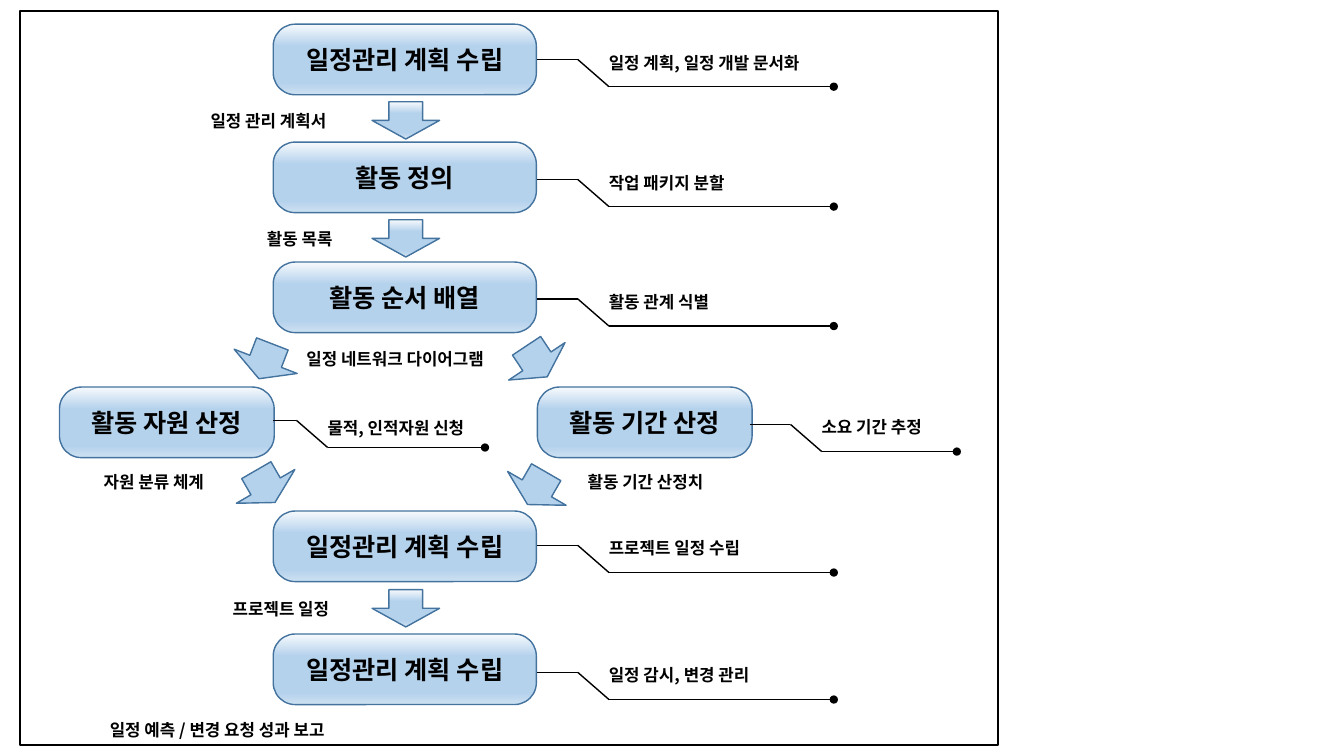
from dataclasses import dataclass

from lxml import etree
from pptx import Presentation
from pptx import util as u
from pptx.dml.color import RGBColor
from pptx.enum import shapes, text
from pptx.oxml.ns import qn


@dataclass(frozen=True)
class Theme:
    font: str = "Noto Sans CJK KR"
    ink: str = "000000"
    paper: str = "FFFFFF"
    edge: str = "43739E"
    gradient: tuple = ((0, "F7FAFD"), (31, "B5D2EC"), (83, "B5D2EC"), (100, "CEE1F2"))
    step_size: int = 18
    label_size: int = 12
    line_width: int = 1


def write_text(frame, content, *, font, size, color, bold=True,
               align=text.PP_ALIGN.LEFT, anchor=text.MSO_ANCHOR.TOP, wrap=True):
    frame.word_wrap = wrap
    frame.vertical_anchor = anchor
    paragraph = frame.paragraphs[0]
    paragraph.alignment = align
    run = paragraph.add_run()
    run.text = content
    run.font.name = font
    run.font.size = u.Pt(size)
    run.font.bold = bold
    run.font.color.rgb = RGBColor.from_string(color)
    # Korean glyphs take the East Asian typeface
    etree.SubElement(run.font._element, qn("a:ea"), typeface=font)


class FlowSlide:
    def __init__(self, slide, theme):
        self.shapes = slide.shapes
        self.theme = theme

    def outline(self, line, color):
        line.color.rgb = RGBColor.from_string(color)
        line.width = u.Pt(self.theme.line_width)

    def shape(self, preset, left, top, width, height, edge):
        shape = self.shapes.add_shape(preset, *map(u.Inches, (left, top, width, height)))
        shape.shadow.inherit = False
        self.outline(shape.line, edge)
        return shape

    def frame(self, *box):
        border = self.shape(shapes.MSO_SHAPE.RECTANGLE, *box, self.theme.ink)
        border.fill.solid()
        border.fill.fore_color.rgb = RGBColor.from_string(self.theme.paper)

    def glossy(self, preset, *box):
        shape = self.shape(preset, *box, self.theme.edge)
        shape.fill.gradient()
        shape.fill.gradient_angle = 270
        stops = shape._element.spPr.find(qn("a:gradFill")).find(qn("a:gsLst"))
        for stop in list(stops):
            stops.remove(stop)
        for percent, color in self.theme.gradient:
            stop = etree.SubElement(stops, qn("a:gs"), pos=str(percent * 1000))
            etree.SubElement(stop, qn("a:srgbClr"), val=color)
        return shape

    def step(self, name, left, top, width, height=0.7):
        box = self.glossy(shapes.MSO_SHAPE.ROUNDED_RECTANGLE, left, top, width, height)
        box.adjustments[0] = 0.31
        write_text(box.text_frame, name, font=self.theme.font, size=self.theme.step_size,
                   color=self.theme.ink, align=text.PP_ALIGN.CENTER,
                   anchor=text.MSO_ANCHOR.MIDDLE)

    def arrow(self, left, top, rotation=0):
        arrow = self.glossy(shapes.MSO_SHAPE.DOWN_ARROW, left, top, 0.67, 0.37)
        arrow.rotation = rotation

    def label(self, content, left, top, width):
        box = self.shapes.add_textbox(*map(u.Inches, (left, top, width, 0.3)))
        write_text(box.text_frame, content, font=self.theme.font,
                   size=self.theme.label_size, color=self.theme.ink, wrap=False)
        box.text_frame.auto_size = text.MSO_AUTO_SIZE.SHAPE_TO_FIT_TEXT

    def line(self, start, end, dot=False):
        line = self.shapes.add_connector(shapes.MSO_CONNECTOR.STRAIGHT,
                                         *map(u.Inches, (*start, *end)))
        self.outline(line.line, self.theme.ink)
        if dot:
            etree.SubElement(line.line._get_or_add_ln(), qn("a:tailEnd"), type="oval")
        etree.SubElement(line._element.spPr, qn("a:effectLst"))

    def callout(self, content, left, top, width, lead=0.4, rule=2.23, text_drop=-0.12):
        """A lead from the step, a slanted stroke and a dotted rule under the text."""
        bend = (left + lead, top)
        corner = (left + lead + 0.31, top + 0.27)
        self.line((left, top), bend)
        self.line(bend, corner)
        self.line(corner, (corner[0] + rule, corner[1]), dot=True)
        self.label(content, corner[0] - 0.1, top + text_drop, width)


def main():
    deck = Presentation()
    deck.slide_width, deck.slide_height = u.Inches(13.33), u.Inches(7.5)
    flow = FlowSlide(deck.slides.add_slide(deck.slide_layouts[6]), Theme())
    flow.frame(0.2, 0.11, 9.7, 7.28)

    # Central steps, each with the top of its callout
    main_left, main_width = 2.71, 2.61
    main_right = 5.33
    for name, top, task, task_top, task_width in (
        ("일정관리 계획 수립", 0.24, "일정 계획, 일정 개발 문서화", 0.59, 2.34),
        ("활동 정의", 1.41, "작업 패키지 분할", 1.78, 1.5),
        ("활동 순서 배열", 2.6, "활동 관계 식별", 2.965, 1.33),
        ("일정관리 계획 수립", 5.07, "프로젝트 일정 수립", 5.41, 1.67),
        ("일정관리 계획 수립", 6.29, "일정 감시, 변경 관리", 6.67, 1.77),
    ):
        flow.step(name, main_left, top, main_width)
        flow.callout(task, main_right, task_top, task_width)

    # Parallel estimates
    for name, left in (("활동 자원 산정", 0.59), ("활동 기간 산정", main_right)):
        flow.step(name, left, 3.84, 2.13)
    flow.callout("물적, 인적자원 신청", main_left, 4.17, 1.71,
                 lead=0.23, rule=1.56, text_drop=-0.07)
    flow.callout("소요 기간 추정", 7.44, 4.21, 1.33, rule=1.34)

    # Arrows: straight down the centre, then splitting and joining
    for top in (1.01, 2.18, 5.85):
        flow.arrow(3.69, top)
    for left, top, rotation in ((2.3, 3.4, 21.1), (4.99, 3.4, 326.4),
                                (2.3, 4.64, 330), (4.99, 4.66, 30)):
        flow.arrow(left, top, rotation)

    # Outputs handed from step to step
    for output, left, top, width in (
        ("일정 관리 계획서", 1.99, 1.05, 1.5),
        ("활동 목록", 2.55, 2.22, 0.93),
        ("일정 네트워크 다이어그램", 2.94, 3.41, 2.17),
        ("자원 분류 체계", 0.93, 4.63, 1.33),
        ("활동 기간 산정치", 5.73, 4.63, 1.5),
        ("프로젝트 일정", 2.21, 5.89, 1.27),
        ("일정 예측 / 변경 요청 성과 보고", 0.99, 7.09, 2.65),
    ):
        flow.label(output, left, top, width)

    deck.save("out.pptx")


if __name__ == "__main__":
    main()
